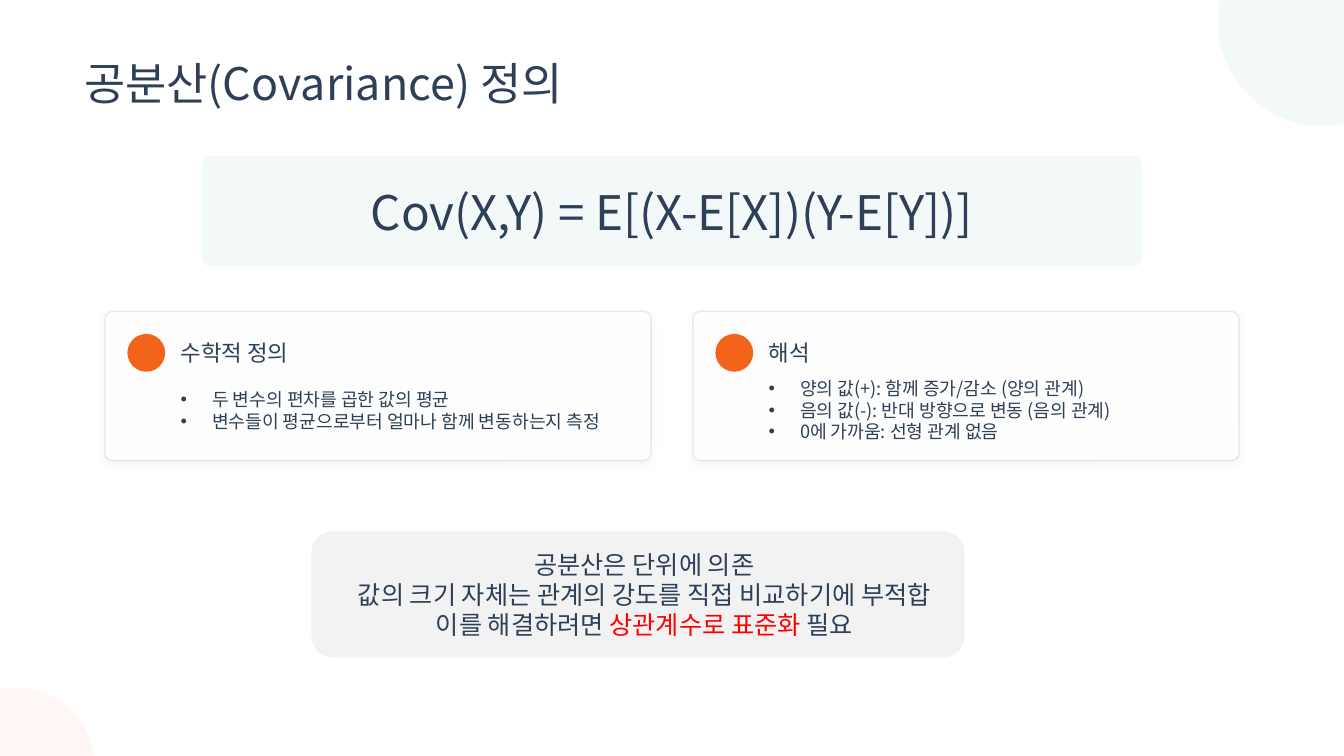
from lxml import etree
from pptx import Presentation
from pptx.dml.color import RGBColor
from pptx.enum.shapes import MSO_SHAPE
from pptx.enum.text import MSO_ANCHOR, MSO_AUTO_SIZE, PP_ALIGN
from pptx.oxml.ns import qn
from pptx.util import Pt

OVAL = MSO_SHAPE.OVAL
ROUND = MSO_SHAPE.ROUNDED_RECTANGLE
LEFT = PP_ALIGN.LEFT
CENTER = PP_ALIGN.CENTER
MIDDLE = MSO_ANCHOR.MIDDLE
FIXED = MSO_AUTO_SIZE.NONE
FONT = "Noto Sans CJK KR"
COLORS = {
    "ink": "2E4057",
    "teal": "048A81",
    "orange": "F26419",
    "white": "FFFFFF",
    "gray": "F2F2F2",
    "red": "FF0000",
    "black": "000000",
}


def add(node, tag, **attrs):
    child = etree.SubElement(node, qn(tag))
    for key, value in attrs.items():
        child.set(key, str(value))
    return child


def paint(fill, color, alpha=100):
    fill.solid()
    fill.fore_color.rgb = RGBColor.from_string(COLORS[color])
    if alpha < 100:
        node = fill._xPr.find(qn("a:solidFill"))[0]
        add(node, "a:alpha", val=alpha * 1000)


def write(frame, lines, size=13, color="ink", align=LEFT, bullet=False, inset=(0, 0, 0, 0)):
    frame.word_wrap = True
    frame.auto_size = FIXED
    frame.vertical_anchor = MIDDLE
    frame.margin_left, frame.margin_top, frame.margin_right, frame.margin_bottom = map(Pt, inset)
    for index, line in enumerate(lines):
        para = frame.add_paragraph() if index else frame.paragraphs[0]
        para.alignment = align
        if bullet:
            props = para._p.get_or_add_pPr()
            props.set("marL", str(Pt(22.5)))
            props.set("indent", str(Pt(-22.5)))
            add(props, "a:buFont", typeface="Arial")
            add(props, "a:buChar", char="•")
        parts = [(line, color)] if isinstance(line, str) else line
        for text, tint in parts:
            run = para.add_run()
            run.text = text
            run.font.size = Pt(size)
            run.font.name = FONT
            run.font.color.rgb = RGBColor.from_string(COLORS[tint])
            add(run._r.get_or_add_rPr(), "a:ea", typeface=FONT)


class Deck:
    def __init__(self):
        self.file = Presentation()
        self.file.slide_width = Pt(960)
        self.file.slide_height = Pt(540)
        self.slide = self.file.slides.add_slide(self.file.slide_layouts[5])
        paint(self.slide.background.fill, "white")

    def title(self, text, box):
        title = self.slide.shapes.title
        title.left, title.top, title.width, title.height = map(Pt, box)
        write(title.text_frame, [text], size=32)

    def shape(self, kind, box, color, alpha=100, bend=None):
        shape = self.slide.shapes.add_shape(kind, *map(Pt, box))
        shape.shadow.inherit = False
        paint(shape.fill, color, alpha)
        shape.line.fill.background()
        if bend is not None:
            shape.adjustments[0] = bend
        return shape

    def text(self, lines, box, **style):
        label = self.slide.shapes.add_textbox(*map(Pt, box))
        write(label.text_frame, lines, **style)

    def panel(self, box):
        panel = self.shape(ROUND, box, "white", alpha=90, bend=0.048)
        panel.line.width = Pt(1)
        paint(panel.line.fill, "ink", 10)
        effects = panel._element.spPr.find(qn("a:effectLst"))
        shadow = add(effects, "a:outerShdw", blurRad=Pt(8), dist=Pt(2),
                     dir=5400000, algn="ctr", rotWithShape=0)
        tone = add(shadow, "a:srgbClr", val=COLORS["black"])
        add(tone, "a:alpha", val=5000)

    def card(self, left, head, points):
        top = 222.5
        self.panel((left, top, 390, 106.5))
        self.shape(OVAL, (left + 16, top + 16, 27, 27), "orange")
        self.text([head], (left + 54, top + 17.5, 94, 24), size=16)
        self.text(points, (left + 54, top + 50.5, 327, 39.5), bullet=True)


def main():
    deck = Deck()
    deck.shape(OVAL, (870, -60, 150, 150), "teal", alpha=5)
    deck.shape(OVAL, (-45, 491, 112.5, 112.5), "orange", alpha=5)
    deck.title("공분산(Covariance) 정의", (60, 36, 364.5, 46))

    rule = deck.shape(ROUND, (144, 111.5, 672, 79), "teal", alpha=5, bend=0.085)
    write(rule.text_frame, ["Cov(X,Y) = E[(X-E[X])(Y-E[Y])]"], size=34, align=CENTER)

    cards = [
        ("수학적 정의", [
            "두 변수의 편차를 곱한 값의 평균",
            "변수들이 평균으로부터 얼마나 함께 변동하는지 측정",
        ]),
        ("해석", [
            "양의 값(+): 함께 증가/감소 (양의 관계)",
            "음의 값(-): 반대 방향으로 변동 (음의 관계)",
            "0에 가까움: 선형 관계 없음",
        ]),
    ]
    for index, (head, points) in enumerate(cards):
        deck.card(75 + 420 * index, head, points)

    note = deck.shape(ROUND, (222.5, 379.5, 466.5, 90), "gray")
    write(note.text_frame, [
        "공분산은 단위에 의존",
        "값의 크기 자체는 관계의 강도를 직접 비교하기에 부적합",
        [("이를 해결하려면 ", "ink"), ("상관계수로 표준화 ", "red"), ("필요", "ink")],
    ], size=18, align=CENTER, inset=(9, 0, 0, 0))
    deck.file.save("out.pptx")


if __name__ == "__main__":
    main()
